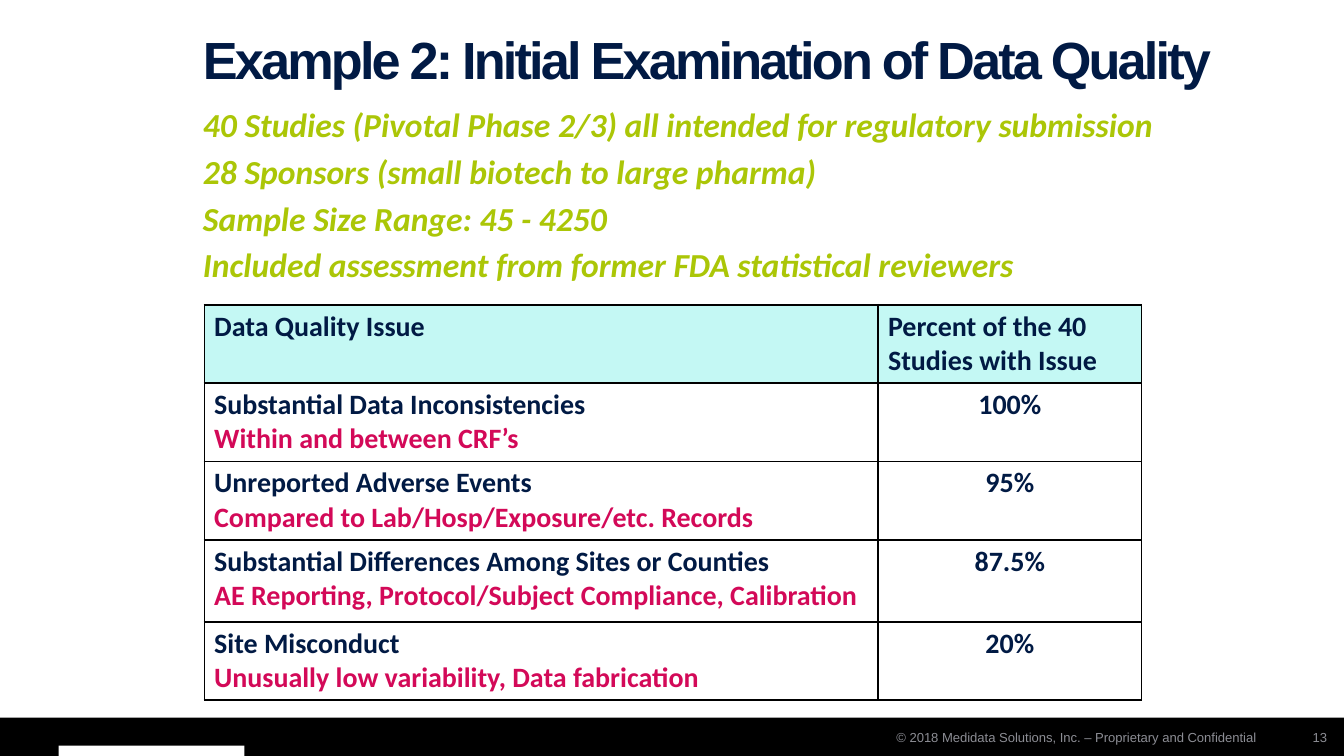
from dataclasses import dataclass

from lxml import etree
from pptx import Presentation
from pptx.dml.color import RGBColor
from pptx.enum import shapes, text
from pptx.oxml import ns
from pptx.util import Pt


@dataclass(frozen=True)
class Theme:
    navy: str = "011A44"
    lime: str = "ABC607"
    magenta: str = "D30958"
    aqua: str = "C4F8F4"
    grey: str = "8C8D94"
    black: str = "000000"
    white: str = "FFFFFF"
    heading_font: str = "Arial"
    body_font: str = "Calibri"
    title_size: float = 28
    list_size: float = 18
    table_size: float = 15
    footer_size: float = 7


THEME = Theme()
LEFT, CENTER, RIGHT = text.PP_ALIGN.LEFT, text.PP_ALIGN.CENTER, text.PP_ALIGN.RIGHT

STUDY_FACTS = [
    "40 Studies (Pivotal Phase 2/3) all intended for regulatory submission",
    "28 Sponsors (small biotech to large pharma)",
    "Sample Size Range: 45 - 4250",
    "Included assessment from former FDA statistical reviewers",
]
HEADERS = ["Data Quality Issue", "Percent of the 40 Studies with Issue"]
ISSUES = [
    ("Substantial Data Inconsistencies", "Within and between CRF’s", "100%"),
    ("Unreported Adverse Events", "Compared to Lab/Hosp/Exposure/etc. Records", "95%"),
    ("Substantial Differences Among Sites or Counties",
     "AE Reporting, Protocol/Subject Compliance, Calibration", "87.5%"),
    ("Site Misconduct", "Unusually low variability, Data fabrication", "20%"),
]
COLUMN_WIDTHS = [361, 141]
ROW_HEIGHTS = [42, 42, 42, 44, 42]


def place(shape, left, top, width, height):
    shape.left, shape.top = Pt(left), Pt(top)
    shape.width, shape.height = Pt(width), Pt(height)


def add_run(paragraph, words, font, size, color, bold=False, italic=False):
    run = paragraph.add_run()
    run.text = words
    run.font.name = font
    run.font.size = Pt(size)
    run.font.bold = bold
    run.font.italic = italic
    run.font.color.rgb = RGBColor.from_string(color)
    return run


def add_bar(slide, left, top, width, height, color):
    bar = slide.shapes.add_shape(
        shapes.MSO_SHAPE.RECTANGLE, Pt(left), Pt(top), Pt(width), Pt(height))
    bar.shadow.inherit = False
    bar.fill.solid()
    bar.fill.fore_color.rgb = RGBColor.from_string(color)
    bar.line.fill.background()


def add_footer_text(slide, words, left, width, inset):
    box = slide.shapes.add_textbox(Pt(left), Pt(384.5), Pt(width), Pt(21.5))
    frame = box.text_frame
    frame.word_wrap = True
    frame.vertical_anchor = text.MSO_ANCHOR.MIDDLE
    frame.margin_left = frame.margin_right = Pt(inset)
    paragraph = frame.paragraphs[0]
    paragraph.alignment = RIGHT
    add_run(paragraph, words, THEME.heading_font, THEME.footer_size, THEME.grey)


def fill_title(title, words):
    place(title, 101.5, 11.5, 562.5, 40.5)
    frame = title.text_frame
    frame.auto_size = text.MSO_AUTO_SIZE.NONE
    frame.vertical_anchor = text.MSO_ANCHOR.BOTTOM
    paragraph = frame.paragraphs[0]
    paragraph.alignment = LEFT
    run = add_run(paragraph, words, THEME.heading_font, THEME.title_size, THEME.navy, bold=True)
    run.font._element.set("spc", "-150")


def fill_list(body, lines):
    place(body, 101.5, 52, 551, 98)
    frame = body.text_frame
    frame.auto_size = text.MSO_AUTO_SIZE.NONE
    for index, line in enumerate(lines):
        paragraph = frame.add_paragraph() if index else frame.paragraphs[0]
        properties = paragraph._p.get_or_add_pPr()
        properties.set("marL", "0")
        properties.set("indent", "0")
        etree.SubElement(properties, ns.qn("a:buNone"))
        paragraph.space_before = Pt(3.5 if index else 0)
        add_run(paragraph, line, THEME.body_font, THEME.list_size, THEME.lime,
                bold=True, italic=True)


def add_borders(cell):
    properties = cell._tc.get_or_add_tcPr()
    for position, side in enumerate(("lnL", "lnR", "lnT", "lnB")):
        line = etree.Element(ns.qn(f"a:{side}"), w=str(Pt(1)))
        fill = etree.SubElement(line, ns.qn("a:solidFill"))
        etree.SubElement(fill, ns.qn("a:srgbClr"), val=THEME.black)
        properties.insert(position, line)


def fill_cell(cell, lines, color, alignment=LEFT):
    cell.margin_left = cell.margin_right = Pt(5.25)
    cell.margin_top = cell.margin_bottom = Pt(2.6)
    cell.fill.solid()
    cell.fill.fore_color.rgb = RGBColor.from_string(color)
    add_borders(cell)
    frame = cell.text_frame
    for index, (words, text_color) in enumerate(lines):
        paragraph = frame.add_paragraph() if index else frame.paragraphs[0]
        paragraph.alignment = alignment
        add_run(paragraph, words, THEME.body_font, THEME.table_size, text_color, bold=True)


def add_issue_table(slide):
    frame = slide.shapes.add_table(
        len(ROW_HEIGHTS), len(COLUMN_WIDTHS), Pt(109.5), Pt(163.25),
        Pt(sum(COLUMN_WIDTHS)), Pt(sum(ROW_HEIGHTS)))
    table = frame.table
    for column, width in zip(table.columns, COLUMN_WIDTHS):
        column.width = Pt(width)
    for row, height in zip(table.rows, ROW_HEIGHTS):
        row.height = Pt(height)
    for column, header in enumerate(HEADERS):
        fill_cell(table.cell(0, column), [(header, THEME.navy)], THEME.aqua)
    for row, (issue, detail, percent) in enumerate(ISSUES, start=1):
        fill_cell(table.cell(row, 0),
                  [(issue, THEME.navy), (detail, THEME.magenta)], THEME.white)
        fill_cell(table.cell(row, 1), [(percent, THEME.navy)], THEME.white, CENTER)


def main():
    presentation = Presentation()
    presentation.slide_width, presentation.slide_height = Pt(720), Pt(405)
    slide = presentation.slides.add_slide(presentation.slide_layouts[1])
    add_bar(slide, 0, 384.5, 720, 20.5, THEME.black)
    add_footer_text(slide, "13", 691, 27, 7.2)
    add_footer_text(slide, "© 2018 Medidata Solutions, Inc. – Proprietary and Confidential",
                    377, 296, 0)
    add_bar(slide, 31.5, 399.5, 99.5, 5.5, THEME.white)
    fill_title(slide.shapes.title, "Example 2: Initial Examination of Data Quality")
    fill_list(slide.placeholders[1], STUDY_FACTS)
    add_issue_table(slide)
    presentation.save("out.pptx")


if __name__ == "__main__":
    main()
